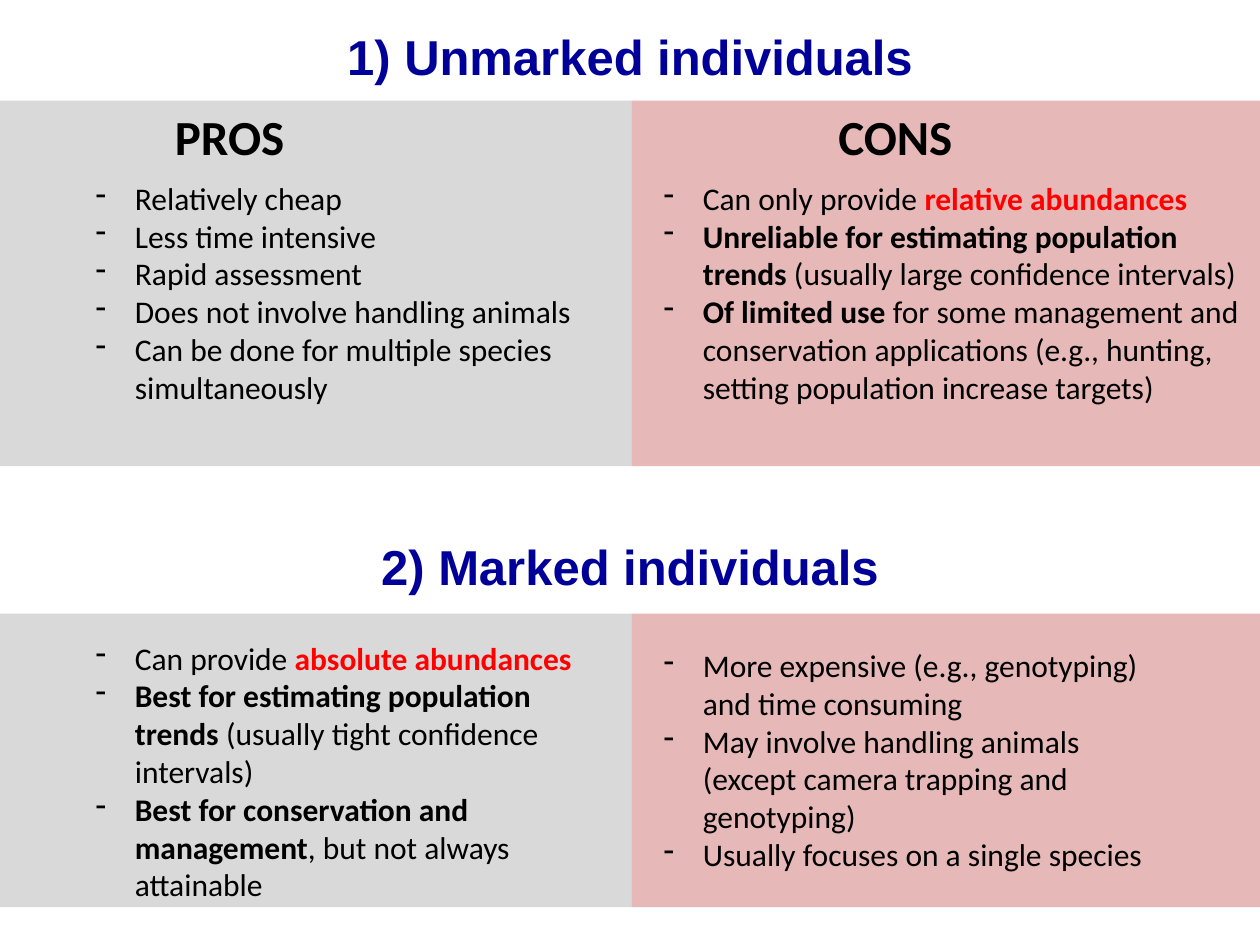
from lxml import etree
from pptx import Presentation
from pptx.dml.color import RGBColor
from pptx.enum import shapes, text
from pptx.oxml.ns import qn
from pptx.util import Cm, Pt

WIDTH, HEIGHT = 25.4, 19.05
SPLIT = 12.73
INDENT = 0.79
GREY, PINK, NAVY, RED, BLACK = "D9D9D9", "E6B9B8", "000099", "FF0000", "000000"
PLAIN, BOLD, KEY = {}, {"bold": True}, {"bold": True, "color": RED}


def rgb(value):
    return RGBColor.from_string(value)


def add_dash(paragraph):
    properties = paragraph._p.get_or_add_pPr()
    properties.set("marL", str(Cm(INDENT)))
    properties.set("indent", str(-Cm(INDENT)))
    etree.SubElement(properties, qn("a:buFontTx"))
    etree.SubElement(properties, qn("a:buChar")).set("char", "-")


def add_run(paragraph, wording, size=18, font="Calibri", color=BLACK, bold=False):
    run = paragraph.add_run()
    run.text = wording
    run.font.size = Pt(size)
    run.font.name = font
    run.font.bold = bold
    run.font.color.rgb = rgb(color)


def add_text(slide, box, paragraphs, align=text.PP_ALIGN.LEFT, dash=False, **style):
    frame = slide.shapes.add_textbox(*map(Cm, box)).text_frame
    frame.word_wrap = True
    frame.auto_size = text.MSO_AUTO_SIZE.SHAPE_TO_FIT_TEXT
    for index, pieces in enumerate(paragraphs):
        paragraph = frame.add_paragraph() if index else frame.paragraphs[0]
        paragraph.alignment = align
        if dash:
            add_dash(paragraph)
        for wording, emphasis in pieces:
            add_run(paragraph, wording, **{**style, **emphasis})


def add_heading(slide, box, wording, **style):
    add_text(slide, box, [[(wording, PLAIN)]], align=text.PP_ALIGN.CENTER,
             size=28, bold=True, **style)


def add_panel(slide, box, fill, points, inset, heading=None):
    left, top, _, _ = box
    panel = slide.shapes.add_shape(shapes.MSO_SHAPE.RECTANGLE, *map(Cm, box))
    panel.shadow.inherit = False
    panel.fill.solid()
    panel.fill.fore_color.rgb = rgb(fill)
    panel.line.fill.background()
    if heading:
        wording, offset = heading
        add_heading(slide, (left + offset, top, 4.34, 1.45), wording)
    dx, dy, width, height = inset
    add_text(slide, (left + dx, top + dy, width, height), points, dash=True)


def add_section(slide, title, title_top, top, height, pros, cons):
    add_heading(slide, (0, title_top, WIDTH, 1.45), title, font="Arial", color=NAVY)
    add_panel(slide, (0, top, SPLIT, height), GREY, **pros)
    add_panel(slide, (SPLIT, top, WIDTH - SPLIT, height), PINK, **cons)


def main():
    deck = Presentation()
    deck.slide_width, deck.slide_height = Cm(WIDTH), Cm(HEIGHT)
    slide = deck.slides.add_slide(deck.slide_layouts[6])

    unmarked_pros = [[(point, PLAIN)] for point in (
        "Relatively cheap",
        "Less time intensive",
        "Rapid assessment",
        "Does not involve handling animals",
        "Can be done for multiple species simultaneously",
    )]
    unmarked_cons = [
        [("Can only provide ", PLAIN), ("relative abundances", KEY)],
        [("Unreliable for estimating population trends ", BOLD),
         ("(usually large confidence intervals)", PLAIN)],
        [("Of limited use ", BOLD),
         ("for some management and conservation applications "
          "(e.g., hunting, setting population increase targets)", PLAIN)],
    ]
    marked_pros = [
        [("Can provide ", PLAIN), ("absolute abundances", KEY)],
        [("Best for estimating population trends ", BOLD),
         ("(usually tight confidence intervals)", PLAIN)],
        [("Best for conservation and management", BOLD),
         (", but not always attainable", PLAIN)],
    ]
    marked_cons = [[(point, PLAIN)] for point in (
        "More expensive (e.g., genotyping) and time consuming",
        "May involve handling animals (except camera trapping and genotyping)",
        "Usually focuses on a single species",
    )]

    add_section(
        slide, "1) Unmarked individuals", 0.41, 2.03, 7.37,
        pros=dict(points=unmarked_pros, inset=(1.68, 1.45, 11.05, 4.88),
                  heading=("PROS", 2.46)),
        cons=dict(points=unmarked_cons, inset=(0.4, 1.45, 12.27, 4.88),
                  heading=("CONS", 3.15)))
    add_section(
        slide, "2) Marked individuals", 10.69, 12.37, 5.92,
        pros=dict(points=marked_pros, inset=(1.68, 0.38, 10.57, 5.64)),
        cons=dict(points=marked_cons, inset=(0.4, 0.53, 10.21, 4.88)))

    deck.save("out.pptx")


if __name__ == "__main__":
    main()
